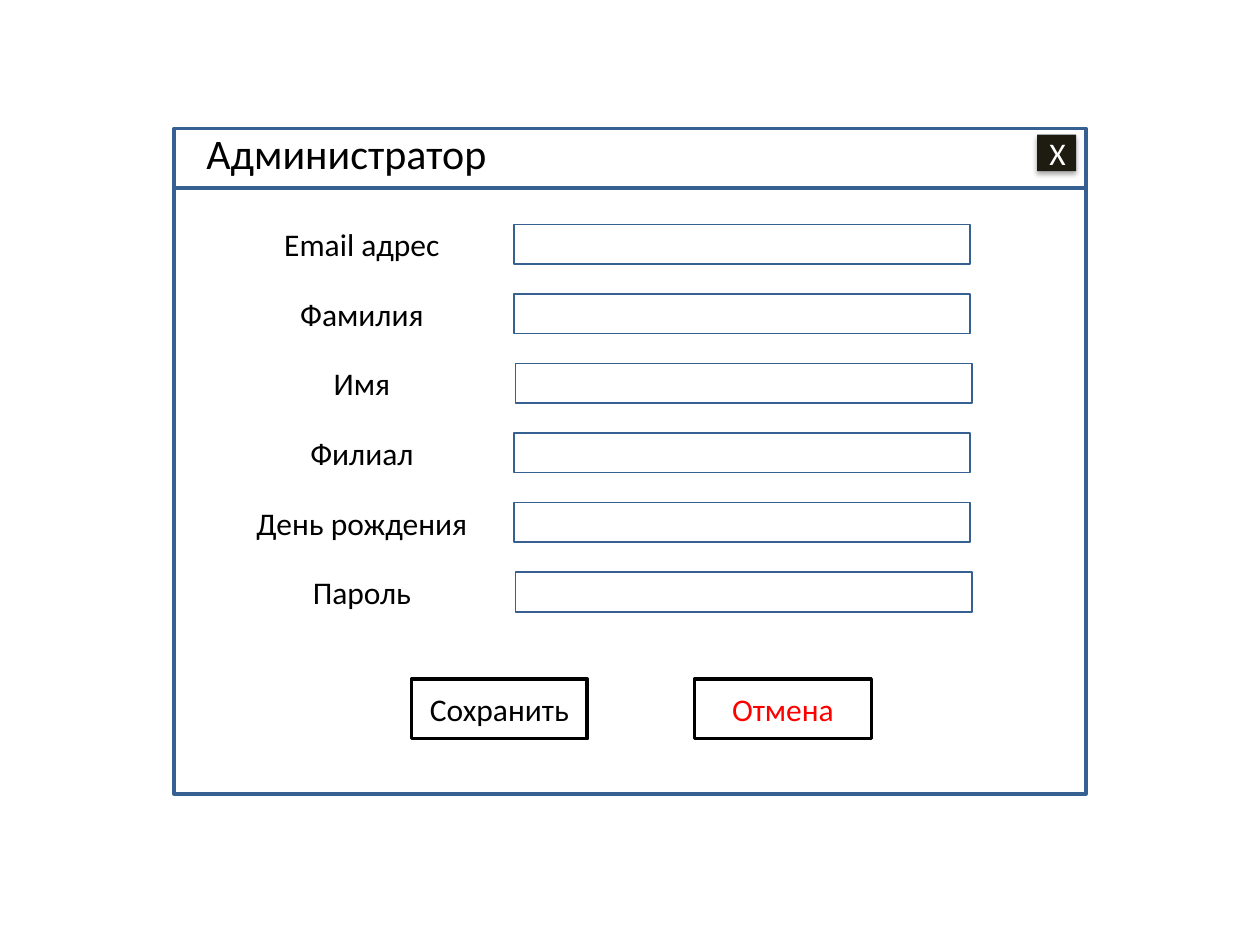
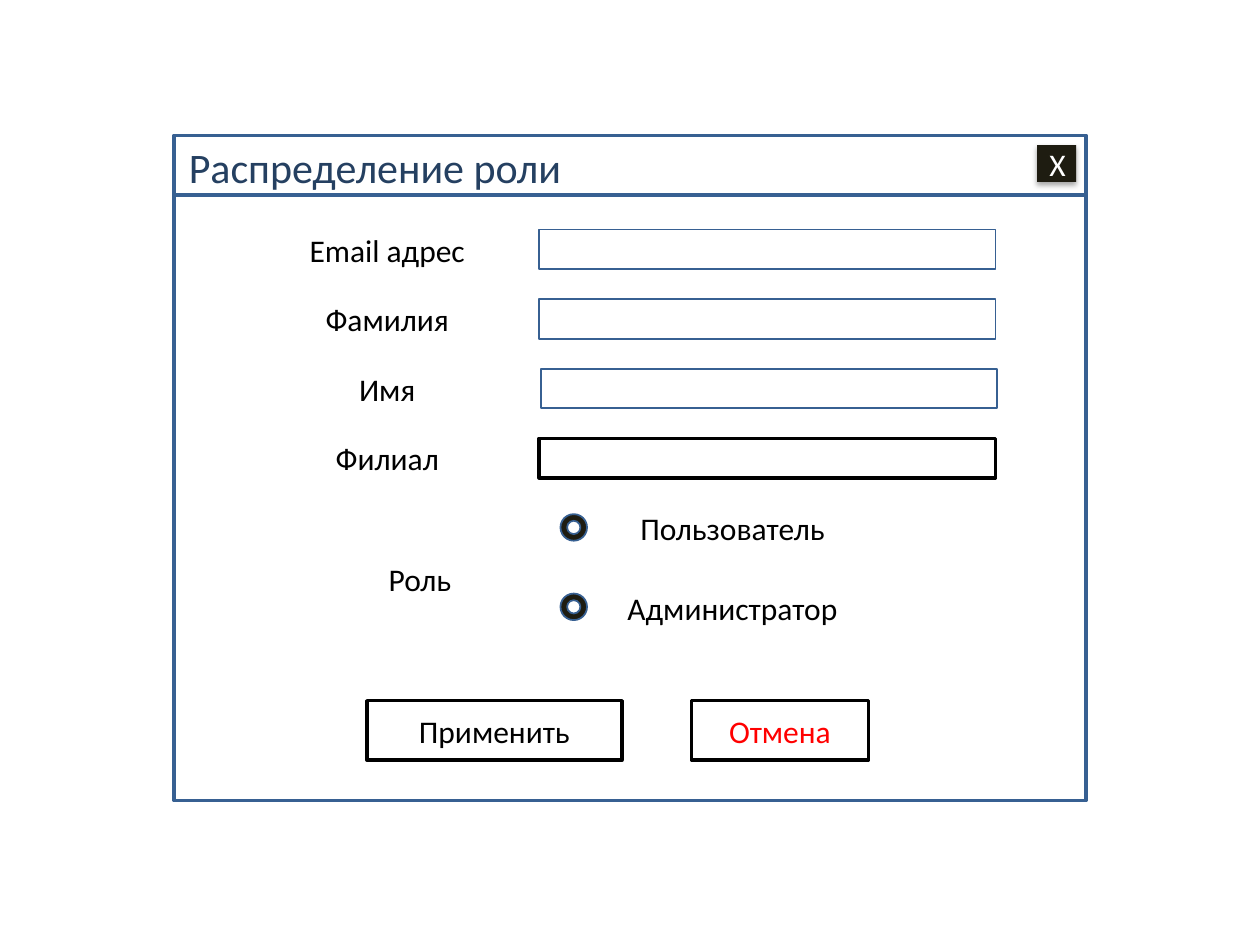
from lxml.etree import SubElement
from pptx import Presentation
from pptx.dml.color import RGBColor as Rgb
from pptx.enum.shapes import MSO_CONNECTOR as Link, MSO_SHAPE as Kind
from pptx.enum.text import MSO_ANCHOR as Anchor, PP_ALIGN as Align
from pptx.oxml import parse_xml
from pptx.oxml.ns import nsdecls, qn
from pptx.util import Pt

HUES = {"white": "FFFFFF", "black": "000000", "blue": "376092",
        "navy": "254061", "dark": "1E1C11", "red": "FF0000"}
FONT = "Calibri"
LEFT, WIDTH, HEIGHT, BAR = 99.4, 521.2, 380.2, 34.2
STEP = 39.75
SHADOW = f"""<a:effectLst {nsdecls("a")}>
  <a:outerShdw blurRad="39400" dist="22900" dir="5400000" rotWithShape="0">
    <a:srgbClr val="{HUES["black"]}"><a:alpha val="35000"/></a:srgbClr>
  </a:outerShdw>
</a:effectLst>"""


def write(shape, text, hue="black", size=18, align=Align.CENTER):
    """Put one line of styled text into a shape."""
    frame = shape.text_frame
    frame.word_wrap = True
    frame.text = text
    line = frame.paragraphs[0]
    line.alignment = align
    font = line.runs[0].font
    font.name, font.size = FONT, Pt(size)
    font.color.rgb = Rgb.from_string(HUES[hue])


def draw(slide, kind, place, fill="white", edge="blue", weight=1):
    """Add a flat shape; place is left, top, width, height in points."""
    shape = slide.shapes.add_shape(kind, *map(Pt, place))
    shape.shadow.inherit = False
    shape.fill.solid()
    shape.fill.fore_color.rgb = Rgb.from_string(HUES[fill])
    if edge:
        shape.line.color.rgb = Rgb.from_string(HUES[edge])
        shape.line.width = Pt(weight)
    else:
        shape.line.fill.background()
    shape.text_frame.vertical_anchor = Anchor.MIDDLE
    return shape


deck = Presentation()
deck.slide_width, deck.slide_height = Pt(720), Pt(540)

# Each form: window top, title (text, left, top, hue), close button top,
# first field (left, top), field names, buttons (kind, left, width, text, hue),
# button top, extra labels (text, left, top), radio tops
forms = [
    dict(top=73.4, title=("Администратор", 110.9, 69.1, "black"), close=77,
         field=(293.6, 128.2), bold=None,
         names=["Email адрес", "Фамилия", "Имя", "Филиал",
                "День рождения", "Пароль"],
         base=388.1,
         buttons=[(Kind.ACTION_BUTTON_CUSTOM, 235.2, 100.4, "Сохранить", "black"),
                  (Kind.ACTION_BUTTON_CUSTOM, 396.9, 101, "Отмена", "red")],
         labels=[], radios=[]),
    dict(top=77.3, title=("Распределение роли", 100.8, 77.2, "navy"), close=83,
         field=(308.1, 131.2), bold="Филиал",
         names=["Email адрес", "Фамилия", "Имя", "Филиал"],
         base=400.4,
         buttons=[(Kind.RECTANGLE, 209.7, 145.7, "Применить", "black"),
                  (Kind.ACTION_BUTTON_CUSTOM, 395.2, 101, "Отмена", "red")],
         labels=[("Роль", 172, 316.2), ("Пользователь", 350.6, 287.2),
                 ("Администратор", 350.6, 332.8)],
         radios=[293.8, 339.2]),
]

for form in forms:
    slide = deck.slides.add_slide(deck.slide_layouts[6])
    top = form["top"]

    # Window frame and title bar
    draw(slide, Kind.RECTANGLE, (LEFT, top, WIDTH, HEIGHT), weight=2)
    rule = slide.shapes.add_connector(
        Link.STRAIGHT, Pt(LEFT), Pt(top + BAR), Pt(LEFT + WIDTH), Pt(top + BAR))
    rule.line.color.rgb = Rgb.from_string(HUES["blue"])
    rule.line.width = Pt(2.25)
    SubElement(rule._element.spPr, qn("a:effectLst"))
    text, x, y, hue = form["title"]
    title = slide.shapes.add_textbox(Pt(x), Pt(y), Pt(249), Pt(36))
    write(title, text, hue, 24, Align.LEFT)
    close = draw(slide, Kind.RECTANGLE, (592.6, form["close"], 22.4, 20.9),
                 "dark", None)
    write(close, "Х", "white")
    props = close._element.spPr
    props.replace(props.find(qn("a:effectLst")), parse_xml(SHADOW))

    # Field rows: every third field sits one point to the right
    left, first = form["field"]
    labels = list(form["labels"])
    for row, name in enumerate(form["names"]):
        y = first + row * STEP
        edge, weight = ("black", 2) if name == form["bold"] else ("blue", 1)
        draw(slide, Kind.RECTANGLE, (left + (row % 3 == 2), y, 260.8, 22.6),
             edge=edge, weight=weight)
        labels.append((name, left - 154.8, y - 3))
    for text, x, y in labels:
        label = slide.shapes.add_textbox(Pt(x), Pt(y), Pt(136), Pt(29))
        write(label, text)

    # Radio marks and buttons
    for y in form["radios"]:
        draw(slide, Kind.DONUT, (320.3, y, 15.2, 15.2), "dark")
    for kind, x, width, text, hue in form["buttons"]:
        button = draw(slide, kind, (x, form["base"], width, 34),
                      edge="black", weight=2)
        write(button, text, hue)

deck.save("out.pptx")
